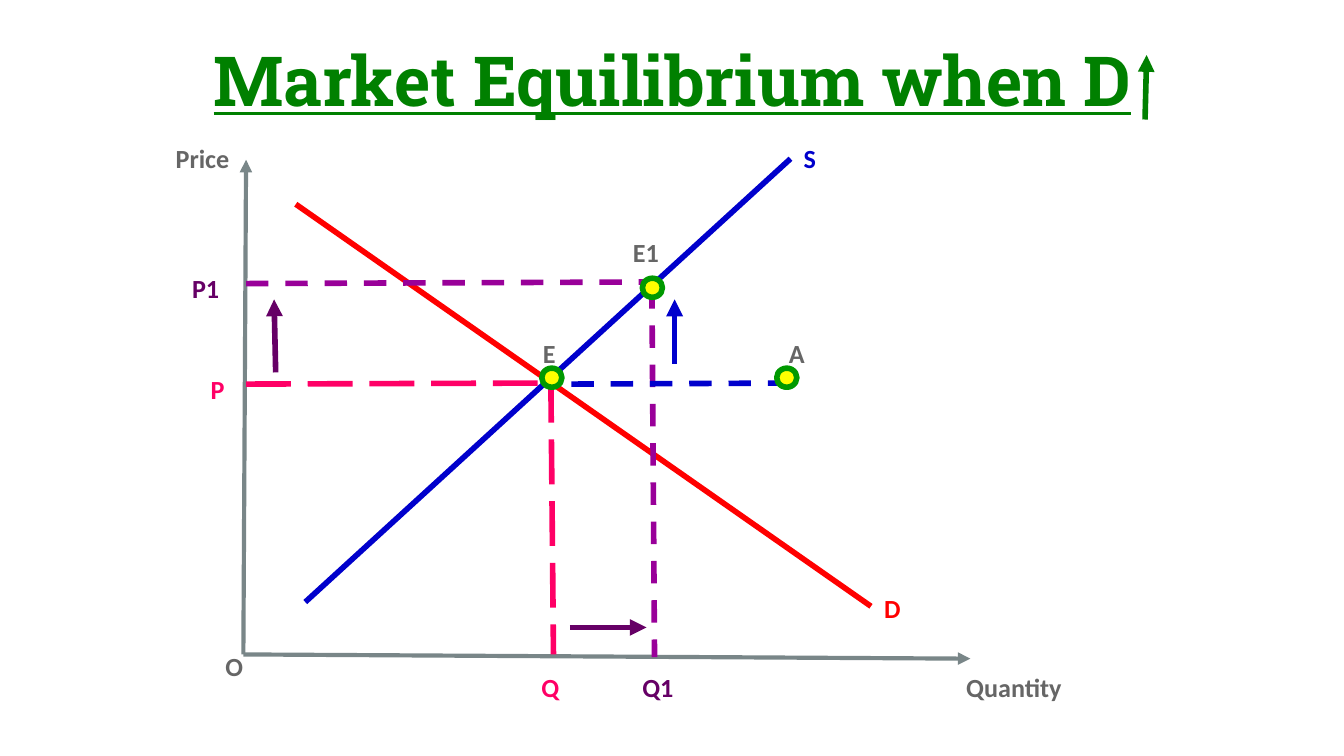
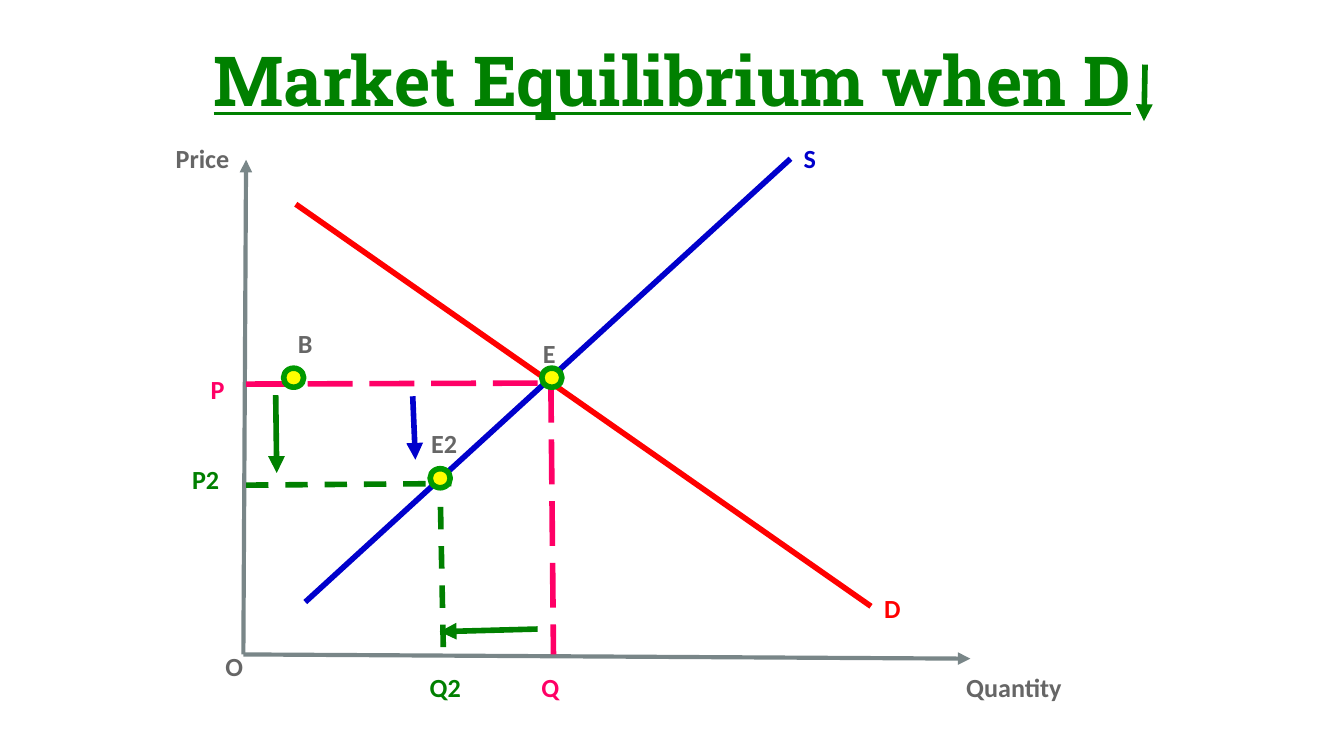
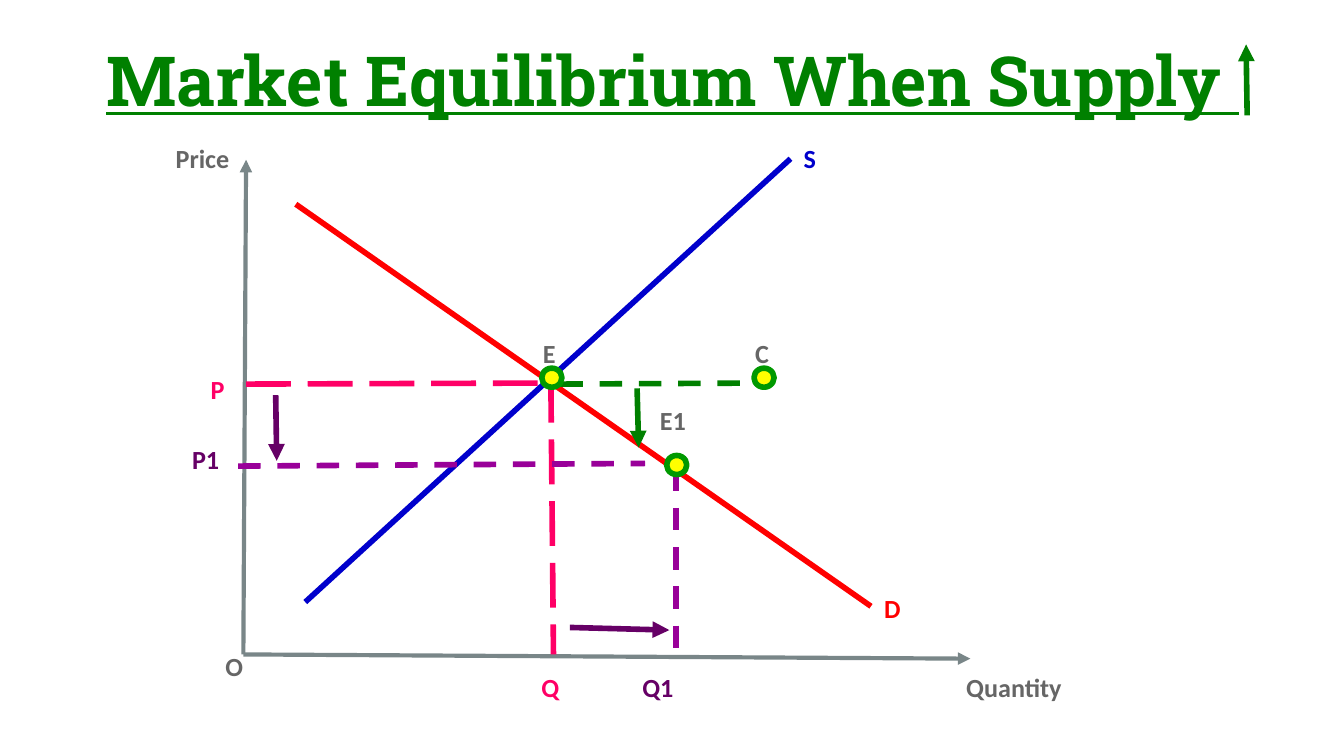
import pptx
import pptx.dml.color
import pptx.enum.dml
import pptx.enum.shapes
import pptx.enum.text
import pptx.oxml.ns
import pptx.util
from lxml import etree

Cm = pptx.util.Cm
Pt = pptx.util.Pt
DASH = pptx.enum.dml.MSO_LINE.DASH
LONG_DASH = pptx.enum.dml.MSO_LINE.LONG_DASH


class Theme:
    colours = {
        "axis": "798688",
        "text": "666666",
        "red": "FF0000",
        "blue": "0000CC",
        "pink": "FF0066",
        "purple": "990099",
        "plum": "660066",
        "green": "008000",
        "dot": "FFFF00",
        "ring": "009900",
        "background": "FFFFFF",
    }
    title_font, title_size = "Roboto Slab", 37
    label_font, label_size = "Calibri", 14
    axis_width, line_width = 2.25, 3


SLIDE_SIZE = (25.4, 14.29)
TITLE_BOX = (0.43, 0.3, 24.56, 2.39)
DOT_SIZE = (0.38, 0.36)
LABEL_HEIGHT = 1.12
LABEL_INSET = 0.25
LABEL_WIDTHS = {"Price": 3.28, "Quantity": 6.96}
WIDTH_BY_LENGTH = {1: 0.91, 2: 1.27}

MARKET = {
    "axes": [
        ("axis", (4.6, 12.37), (4.65, 3.02)),
        ("axis", (4.6, 12.37), (18.34, 12.45)),
    ],
    "curves": [
        ("red", (5.59, 3.86), (16.46, 11.46)),
        ("blue", (5.77, 11.38), (14.94, 3)),
    ],
    "long_guides": [
        ("pink", (4.65, 7.26), (10.41, 7.24)),
        ("pink", (10.41, 7.14), (10.46, 12.37)),
    ],
    "dots": [(10.24, 6.96)],
    "labels": [
        ("D", "red", (16.46, 10.95)),
        ("S", "blue", (14.94, 2.44)),
        ("O", "text", (4.01, 12.04)),
        ("Quantity", "text", (18.01, 12.45)),
        ("Price", "text", (3.07, 2.44)),
        ("E", "text", (10.01, 6.12)),
        ("P", "pink", (3.73, 6.81)),
        ("Q", "pink", (9.98, 12.45)),
    ],
}

SHIFTS = [
    {
        "title": "Market Equilibrium when D",
        "guides": [
            ("purple", (4.65, 5.36), (12.34, 5.33)),
            ("purple", (12.32, 5.41), (12.37, 12.42)),
            ("blue", (10.8, 7.26), (15.09, 7.24)),
        ],
        "arrows": [
            ("plum", (5.21, 7.04), (5.18, 5.66)),
            ("plum", (10.77, 11.86), (12.22, 11.86)),
            ("blue", (12.75, 6.88), (12.75, 5.66)),
            ("green", (21.64, 2.26), (21.67, 1.04)),
        ],
        "dots": [(12.14, 5.26), (14.68, 6.96)],
        "labels": [
            ("E1", "text", (11.71, 4.22)),
            ("P1", "plum", (3.38, 4.9)),
            ("Q1", "plum", (11.89, 12.45)),
            ("A", "text", (14.66, 6.12)),
        ],
    },
    {
        "title": "Market Equilibrium when D",
        "guides": [
            ("green", (4.65, 9.17), (8.53, 9.14)),
            ("green", (8.31, 8.84), (8.38, 12.34)),
        ],
        "arrows": [
            ("blue", (7.8, 7.49), (7.85, 8.69)),
            ("green", (5.21, 7.47), (5.23, 8.94)),
            ("green", (10.16, 11.89), (8.31, 11.94)),
            ("green", (21.64, 1.22), (21.62, 2.29)),
        ],
        "dots": [(8.13, 8.86), (5.36, 6.96)],
        "labels": [
            ("E2", "text", (7.9, 7.82)),
            ("P2", "green", (3.38, 8.51)),
            ("Q2", "green", (7.87, 12.45)),
            ("B", "text", (5.38, 5.94)),
        ],
    },
    {
        "title": "Market Equilibrium When Supply ",
        "guides": [
            ("purple", (4.5, 8.81), (12.19, 8.76)),
            ("purple", (12.78, 8.86), (12.78, 12.42)),
            ("green", (10.59, 7.26), (14.45, 7.24)),
        ],
        "arrows": [
            ("plum", (5.21, 7.47), (5.23, 8.71)),
            ("plum", (10.77, 11.86), (12.65, 11.91)),
            ("green", (12.04, 7.34), (12.07, 8.46)),
            ("green", (23.57, 2.18), (23.55, 0.84)),
        ],
        "dots": [(12.6, 8.61), (14.25, 6.96)],
        "labels": [
            ("E1", "text", (12.22, 7.39)),
            ("P1", "plum", (3.38, 8.13)),
            ("Q1", "plum", (11.89, 12.45)),
            ("C", "text", (14.02, 6.12)),
        ],
    },
]

LINE_STYLES = {
    "axes": {"width": Theme.axis_width, "arrow": True},
    "curves": {},
    "long_guides": {"dash": LONG_DASH},
    "guides": {"dash": DASH},
    "arrows": {"arrow": True},
}


def colour(name):
    return pptx.dml.color.RGBColor.from_string(Theme.colours[name])


def format_runs(paragraph, font_name, size, colour_name, underline=None):
    for run in paragraph.runs:
        run.font.name = font_name
        run.font.size = Pt(size)
        run.font.bold = True
        run.font.underline = underline
        run.font.color.rgb = colour(colour_name)


def add_title(slide, text):
    title = slide.shapes.title
    title.left, title.top, title.width, title.height = map(Cm, TITLE_BOX)
    frame = title.text_frame
    frame.text = text
    frame.word_wrap = True
    frame.auto_size = pptx.enum.text.MSO_AUTO_SIZE.NONE
    frame.vertical_anchor = pptx.enum.text.MSO_ANCHOR.MIDDLE
    paragraph = frame.paragraphs[0]
    paragraph.alignment = pptx.enum.text.PP_ALIGN.CENTER
    format_runs(paragraph, Theme.title_font, Theme.title_size, "green", True)


def add_line(slide, colour_name, start, end, width=Theme.line_width, dash=None, arrow=False):
    connector = slide.shapes.add_connector(
        pptx.enum.shapes.MSO_CONNECTOR.STRAIGHT, *map(Cm, start + end)
    )
    connector.line.color.rgb = colour(colour_name)
    connector.line.width = Pt(width)
    if dash is not None:
        connector.line.dash_style = dash
    if arrow:
        outline = connector.line._get_or_add_ln()
        etree.SubElement(outline, pptx.oxml.ns.qn("a:tailEnd"), type="triangle")
    etree.SubElement(connector._element.spPr, pptx.oxml.ns.qn("a:effectLst"))


def add_dot(slide, position):
    dot = slide.shapes.add_shape(
        pptx.enum.shapes.MSO_SHAPE.OVAL, *map(Cm, position + DOT_SIZE)
    )
    dot.shadow.inherit = False
    dot.fill.solid()
    dot.fill.fore_color.rgb = colour("dot")
    dot.line.color.rgb = colour("ring")
    dot.line.width = Pt(Theme.line_width)


def add_label(slide, text, colour_name, position):
    width = LABEL_WIDTHS.get(text) or WIDTH_BY_LENGTH[len(text)]
    frame = slide.shapes.add_textbox(*map(Cm, position + (width, LABEL_HEIGHT))).text_frame
    frame.margin_left = frame.margin_right = Cm(LABEL_INSET)
    frame.margin_top = frame.margin_bottom = Cm(LABEL_INSET)
    frame.word_wrap = True
    frame.auto_size = pptx.enum.text.MSO_AUTO_SIZE.SHAPE_TO_FIT_TEXT
    frame.text = text
    format_runs(frame.paragraphs[0], Theme.label_font, Theme.label_size, colour_name)


def add_diagram(slide, shift):
    for group, style in LINE_STYLES.items():
        for line in MARKET.get(group, []) + shift.get(group, []):
            add_line(slide, *line, **style)
    for position in MARKET["dots"] + shift["dots"]:
        add_dot(slide, position)
    for label in MARKET["labels"] + shift["labels"]:
        add_label(slide, *label)


def main():
    presentation = pptx.Presentation()
    presentation.slide_width, presentation.slide_height = map(Cm, SLIDE_SIZE)
    background = presentation.slide_master.background.fill
    background.solid()
    background.fore_color.rgb = colour("background")
    title_only = presentation.slide_layouts.get_by_name("Title Only")
    for shift in SHIFTS:
        slide = presentation.slides.add_slide(title_only)
        add_title(slide, shift["title"])
        add_diagram(slide, shift)
    presentation.save("out.pptx")


if __name__ == "__main__":
    main()
